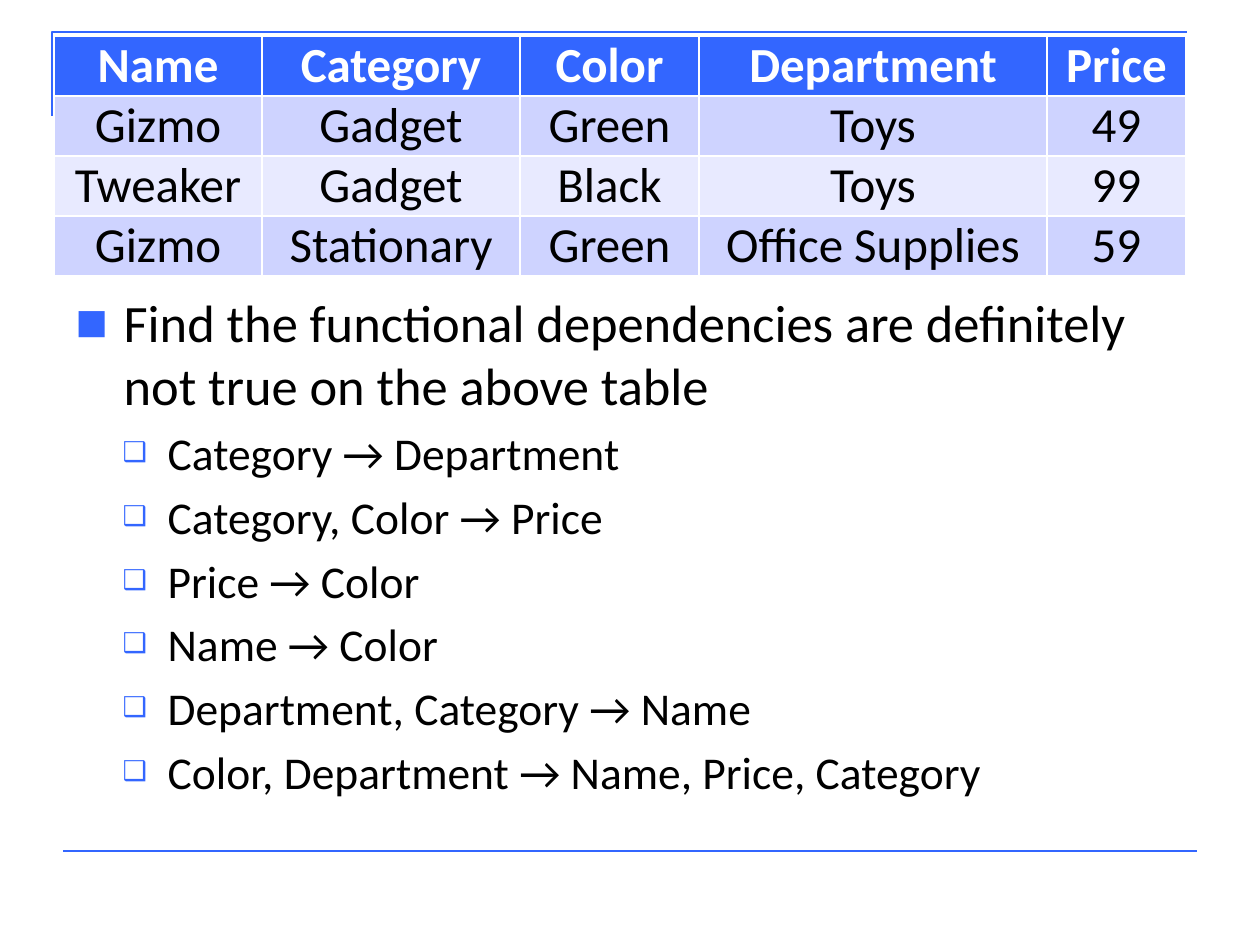
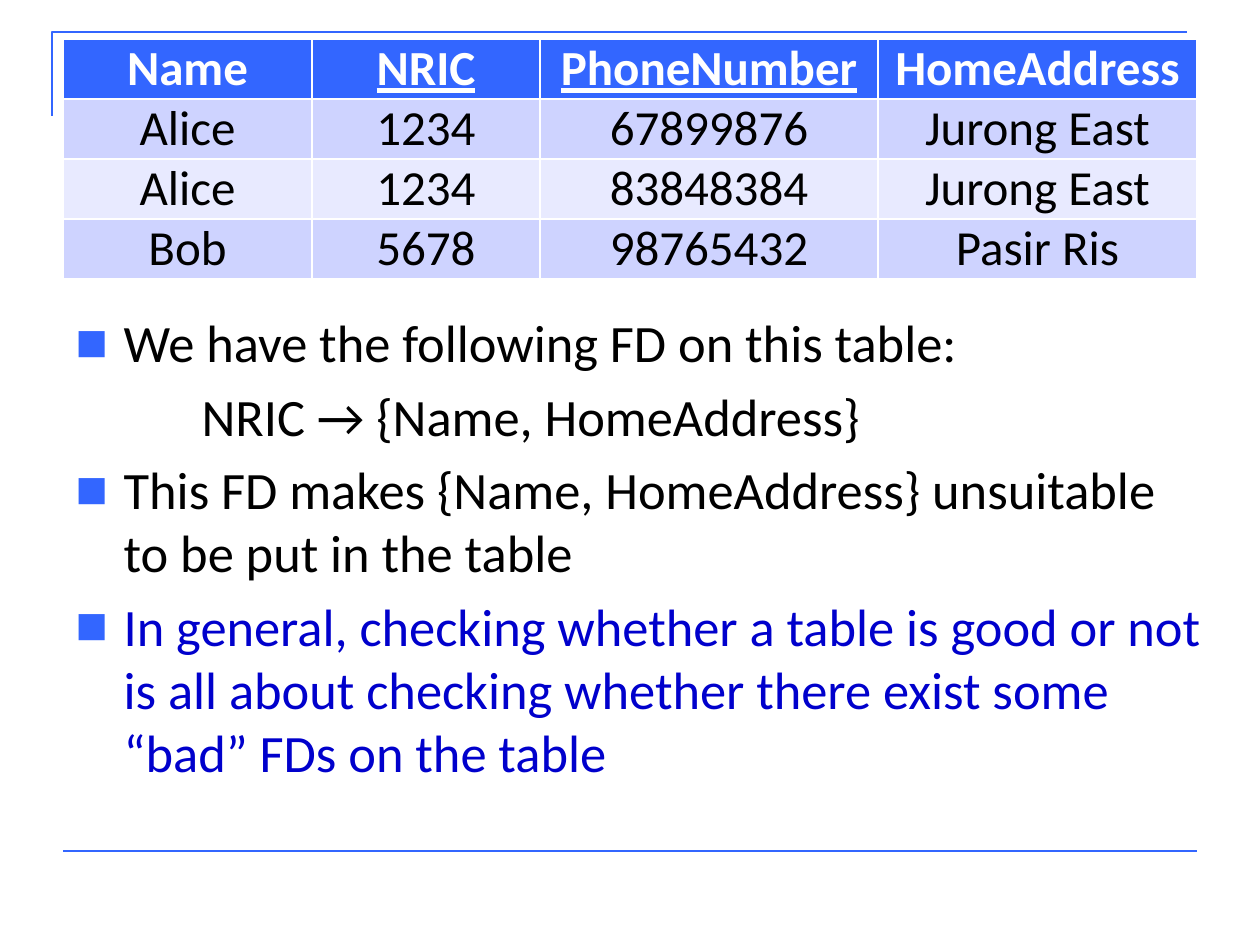
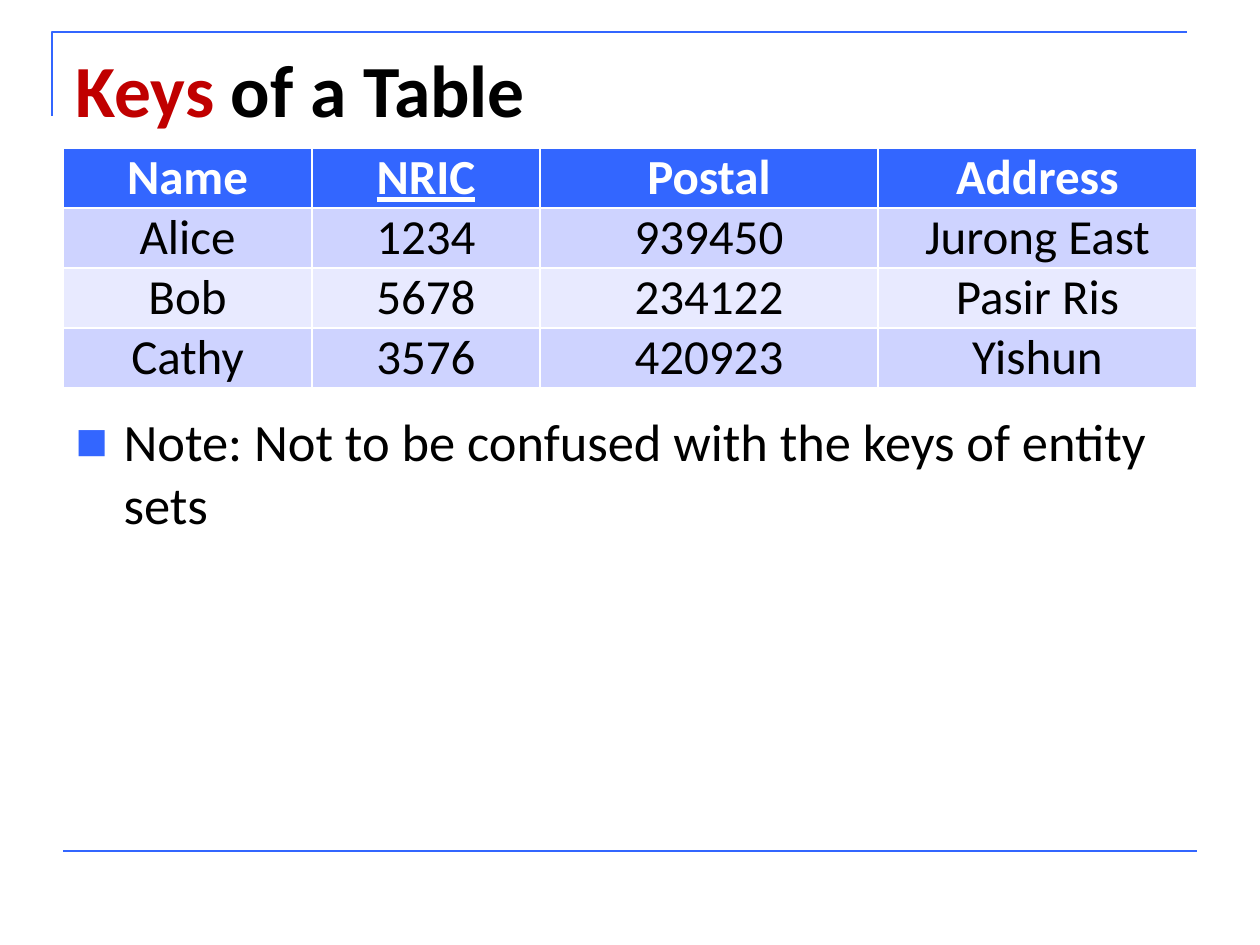
"""Build three slides on functional dependencies and table keys."""
import pptx
import pptx.dml.color
import pptx.enum.text
import pptx.oxml
import pptx.oxml.ns
import pptx.util

RGB = pptx.dml.color.RGBColor
BLUE = RGB(0x33, 0x66, 0xFF)
NAVY = RGB(0x00, 0x00, 0xCC)
RED = RGB(0xC0, 0x00, 0x00)
BLACK = RGB(0x00, 0x00, 0x00)
WHITE = RGB(0xFF, 0xFF, 0xFF)
BANDS = [RGB(0xE8, 0xEA, 0xFF), RGB(0xCE, 0xD3, 0xFF)]
FONT = "Calibri"
SCALE = 914400 / 126
ROW = 60
KEYS = {"NRIC", "PhoneNumber"}
WIDE = [249, 228, 338, 319]

STYLES = {
    "main": dict(level=0, left=48, hang=-48, mark="■", part=65, size=30, color=BLACK),
    "blue": dict(level=0, left=48, hang=-48, mark="■", part=65, size=30, color=NAVY),
    "sub": dict(level=1, left=92, hang=-45, mark="❑", part=60, size=26, color=BLACK),
    "plain": dict(level=0, left=126, hang=0, mark=None, part=0, size=30, color=BLACK),
}

SLIDES = [
    dict(
        title=[],
        body=(63, 284, 1134, 561),
        items=[
            ("main", "Find the functional dependencies are definitely not true on the above table"),
            ("sub", "Category → Department"),
            ("sub", "Category, Color → Price"),
            ("sub", "Price → Color"),
            ("sub", "Name → Color"),
            ("sub", "Department, Category → Name"),
            ("sub", "Color, Department → Name, Price, Category"),
        ],
        spot=(54, 36), pad=0, cols=[208, 258, 179, 348, 139],
        rows=[
            ["Name", "Category", "Color", "Department", "Price"],
            ["Gizmo", "Gadget", "Green", "Toys", "49"],
            ["Tweaker", "Gadget", "Black", "Toys", "99"],
            ["Gizmo", "Stationary", "Green", "Office Supplies", "59"],
        ],
    ),
    dict(
        title=[],
        body=(63, 304, 1162, 536),
        items=[
            ("main", "We have the following FD on this table:"),
            ("plain", "NRIC → {Name, HomeAddress}"),
            ("main", "This FD makes {Name, HomeAddress} unsuitable to be put in the table"),
            ("blue", "In general, checking whether a table is good or not is all about "
                     "checking whether there exist some “bad” FDs on the table"),
        ],
        spot=(63, 39), pad=13, cols=WIDE,
        rows=[
            ["Name", "NRIC", "PhoneNumber", "HomeAddress"],
            ["Alice", "1234", "67899876", "Jurong East"],
            ["Alice", "1234", "83848384", "Jurong East"],
            ["Bob", "5678", "98765432", "Pasir Ris"],
        ],
    ),
    dict(
        title=[("Keys", RED), (" of a Table", BLACK)],
        body=(63, 403, 1134, 442),
        items=[("main", "Note: Not to be confused with the keys of entity sets")],
        spot=(63, 148), pad=13, cols=WIDE,
        rows=[
            ["Name", "NRIC", "Postal", "Address"],
            ["Alice", "1234", "939450", "Jurong East"],
            ["Bob", "5678", "234122", "Pasir Ris"],
            ["Cathy", "3576", "420923", "Yishun"],
        ],
    ),
]


def px(num):
    return pptx.util.Emu(round(num * SCALE))


def ink(run, size, color, bold=False):
    run.font.name = FONT
    run.font.size = pptx.util.Pt(size)
    run.font.bold = bold
    run.font.color.rgb = color


def place(shape, box):
    shape.left, shape.top, shape.width, shape.height = map(px, box)
    frame = shape.text_frame
    frame.word_wrap = True
    frame.auto_size = pptx.enum.text.MSO_AUTO_SIZE.NONE
    frame.vertical_anchor = pptx.enum.text.MSO_ANCHOR.TOP
    return frame


def add_xml(node, tag, **attrs):
    kid = pptx.oxml.parse_xml(f'<a:{tag} {pptx.oxml.ns.nsdecls("a")}/>')
    for key, val in attrs.items():
        kid.set(key, str(val))
    node.append(kid)
    return kid


def add_rules(slide, layout):
    draw = slide.shapes.build_freeform(52, 116, SCALE)
    draw.add_line_segments([(52, 32), (1187, 32)], close=False)
    frame = draw.convert_to_shape()
    frame.fill.background()
    frame.shadow.inherit = False
    foot = slide.shapes.add_connector(1, px(63), px(851), px(1197), px(851))
    for shape in (frame, foot):
        shape.line.color.rgb = BLUE
        shape.line.width = pptx.util.Pt(1.5)
        layout.shapes.element.append(shape.element)
    add_xml(foot.element.spPr, "effectLst")


def add_title(shape, parts):
    if not parts:
        shape.element.getparent().remove(shape.element)
        return
    para = place(shape, (63, 38, 1134, 158)).paragraphs[0]
    para.alignment = pptx.enum.text.PP_ALIGN.LEFT
    for text, color in parts:
        run = para.add_run()
        run.text = text
        ink(run, 42, color, True)


def add_list(shape, box, items):
    frame = place(shape, box)
    frame.text = "\n".join(text for _, text in items)
    for para, (kind, _) in zip(frame.paragraphs, items):
        look = STYLES[kind]
        para.level = look["level"]
        props = para._p.get_or_add_pPr()
        props.set("marL", str(px(look["left"])))
        props.set("indent", str(px(look["hang"])))
        if look["mark"]:
            add_xml(add_xml(props, "buClr"), "srgbClr", val=BLUE)
            add_xml(props, "buSzPct", val=look["part"] * 1000)
            add_xml(props, "buFont", typeface=FONT)
            add_xml(props, "buChar", char=look["mark"])
        else:
            add_xml(props, "buNone")
        ink(para.runs[0], look["size"], look["color"])
    frame.paragraphs[0].space_before = pptx.util.Pt(0)


def add_grid(slide, spot, pad, cols, rows):
    box = (*spot, sum(cols), ROW * len(rows))
    grid = slide.shapes.add_table(len(rows), len(cols), *map(px, box)).table
    for col, width in zip(grid.columns, cols):
        col.width = px(width)
    for r, row in enumerate(rows):
        for c, text in enumerate(row):
            cell = grid.cell(r, c)
            cell.margin_left = cell.margin_right = px(pad)
            cell.margin_top = cell.margin_bottom = 0
            cell.fill.solid()
            cell.fill.fore_color.rgb = BANDS[r % 2] if r else BLUE
            cell.text_frame.text = text
            para = cell.text_frame.paragraphs[0]
            para.alignment = pptx.enum.text.PP_ALIGN.CENTER
            ink(para.runs[0], 28, BLACK if r else WHITE, r == 0)
            if text in KEYS:
                para.runs[0].font.underline = True


def main():
    deck = pptx.Presentation()
    deck.slide_width, deck.slide_height = px(1260), px(945)
    layout = deck.slide_layouts[1]
    for num, data in enumerate(SLIDES):
        slide = deck.slides.add_slide(layout)
        if num == 0:
            add_rules(slide, layout)
        title, body = slide.placeholders
        add_title(title, data["title"])
        add_list(body, data["body"], data["items"])
        add_grid(slide, data["spot"], data["pad"], data["cols"], data["rows"])
    deck.save("out.pptx")


if __name__ == "__main__":
    main()
